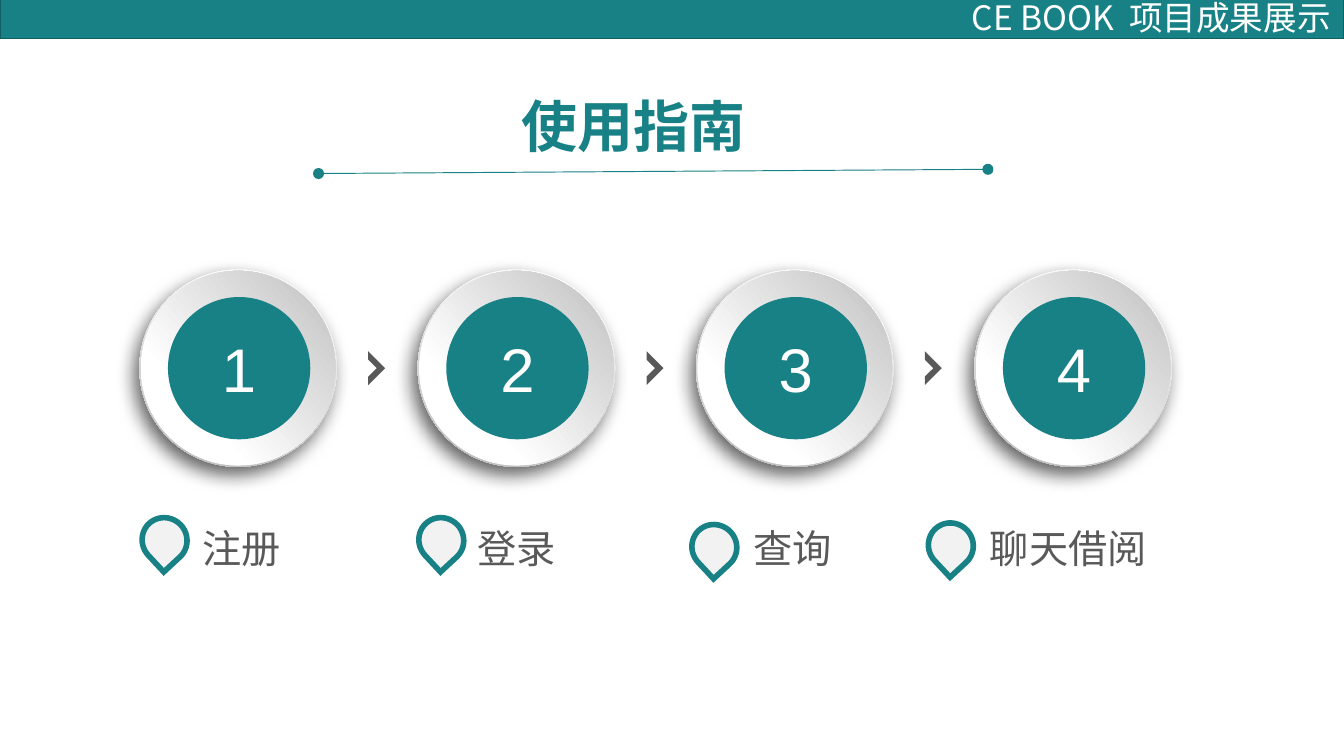
"""Build the four-step user guide slide."""
import lxml.etree
import pptx
import pptx.dml.color
import pptx.enum.shapes
import pptx.enum.text
import pptx.oxml.ns
import pptx.util

Cm = pptx.util.Cm
Pt = pptx.util.Pt
RGBColor = pptx.dml.color.RGBColor
Shapes = pptx.enum.shapes.MSO_SHAPE
Align = pptx.enum.text.PP_ALIGN
Anchor = pptx.enum.text.MSO_ANCHOR
AutoSize = pptx.enum.text.MSO_AUTO_SIZE
qn = pptx.oxml.ns.qn

TEAL = RGBColor(0x18, 0x81, 0x86)
DARK_TEAL = RGBColor(0x12, 0x5F, 0x63)
WHITE = RGBColor(0xFF, 0xFF, 0xFF)
PALE_GRAY = RGBColor(0xF2, 0xF2, 0xF2)
SILVER = RGBColor(0xBF, 0xBF, 0xBF)
DARK_SILVER = RGBColor(0xB8, 0xB8, 0xB8)
GRAY = RGBColor(0x59, 0x59, 0x59)

CJK_FONT = "Noto Sans CJK SC"
NUMBER_FONT = "Arial"
STEPS = ("注册", "登录", "查询", "聊天借阅")
PIN_POSITIONS = ((2.69, 9.78), (7.92, 9.78), (13.08, 9.91), (17.55, 9.88))
STEP_PITCH = 5.26
LABEL_PITCH = 5.21
FIRST_CENTER = 4.5
CENTER_Y = 6.96


def add_element(parent, tag, **attributes):
    element = lxml.etree.SubElement(parent, qn(tag))
    for name, value in attributes.items():
        element.set(name, str(value))
    return element


def write_text(shape, text, size, color, font=CJK_FONT, bold=False, align=Align.LEFT,
               anchor=Anchor.TOP, wrap=True, grow=False, margins=(0.25, 0.13)):
    frame = shape.text_frame
    frame.word_wrap = wrap
    frame.auto_size = AutoSize.SHAPE_TO_FIT_TEXT if grow else AutoSize.NONE
    frame.vertical_anchor = anchor
    frame.margin_left = frame.margin_right = Cm(margins[0])
    frame.margin_top = frame.margin_bottom = Cm(margins[1])
    paragraph = frame.paragraphs[0]
    paragraph.alignment = align
    run = paragraph.add_run()
    run.text = text
    run.font.size = Pt(size)
    run.font.bold = bold
    run.font.name = font
    run.font.color.rgb = color
    add_element(run.font._element, "a:ea", typeface=font)


class GuideSlide:
    def __init__(self, presentation):
        self.slide = presentation.slides.add_slide(presentation.slide_layouts[6])
        self.shapes = self.slide.shapes

    def paint(self, shape, fill=None, line=None, line_width=1):
        shape.shadow.inherit = False
        if fill is not None:
            shape.fill.solid()
            shape.fill.fore_color.rgb = fill
        if line is None:
            shape.line.fill.background()
        else:
            shape.line.color.rgb = line
            shape.line.width = Pt(line_width)
            add_element(shape.line._get_or_add_ln(), "a:miter", lim=800000)

    def shape(self, kind, left, top, width, height, rotation=0, shapes=None, **style):
        shapes = self.shapes if shapes is None else shapes
        shape = shapes.add_shape(kind, Cm(left), Cm(top), Cm(width), Cm(height))
        shape.rotation = rotation
        self.paint(shape, **style)
        return shape

    def disc(self, shapes, center, diameter, **style):
        return self.shape(Shapes.OVAL, center - diameter / 2, CENTER_Y - diameter / 2,
                          diameter, diameter, shapes=shapes, **style)

    def gradient_disc(self, shapes, center, diameter, rotation, *stops):
        disc = self.disc(shapes, center, diameter, rotation=rotation)
        disc.fill.gradient()
        disc.fill.gradient_angle = 315
        for stop, (position, color) in zip(disc.fill.gradient_stops, stops):
            stop.position = position
            stop.color.rgb = color
        return disc

    def soft_shadow(self, shape):
        effects = shape._element.spPr.find(qn("a:effectLst"))
        shadow = add_element(effects, "a:outerShdw", blurRad=Pt(10), dist=Pt(5),
                             dir=123 * 60000, algn="ctr", rotWithShape=0)
        color = add_element(shadow, "a:srgbClr", val="000000")
        add_element(color, "a:alpha", val=61000)

    def step_button(self, number, center):
        shapes = self.shapes.add_group_shape().shapes
        rim = self.gradient_disc(shapes, center, 3.73, 62.3,
                                 (0.17, WHITE), (0.88, DARK_SILVER))
        self.soft_shadow(rim)
        self.gradient_disc(shapes, center, 3.68, 273, (0.29, WHITE), (0.98, SILVER))
        core = self.disc(shapes, center + 0.02, 2.69, fill=TEAL)
        write_text(core, str(number), size=33, color=WHITE, font=NUMBER_FONT,
                   align=Align.CENTER, anchor=Anchor.MIDDLE)

    def chevron(self, left):
        outline = ((0.32, 0), (0, 0.32), (0, 0.16), (0.16, 0), (0, -0.16))
        builder = self.shapes.build_freeform(Cm(left), Cm(CENTER_Y - 0.32))
        builder.add_line_segments(
            [(Cm(left + x), Cm(CENTER_Y + y)) for x, y in outline], close=True)
        self.paint(builder.convert_to_shape(), fill=GRAY)

    def text(self, text, left, top, width, height, **style):
        box = self.shapes.add_textbox(Cm(left), Cm(top), Cm(width), Cm(height))
        write_text(box, text, grow=True, **style)
        return box

    def dotted_end_line(self, start_x, start_y, end_x, end_y):
        connector = self.shapes.add_connector(
            pptx.enum.shapes.MSO_CONNECTOR.STRAIGHT,
            Cm(start_x), Cm(start_y), Cm(end_x), Cm(end_y))
        connector.line.color.rgb = TEAL
        connector.line.width = Pt(0.5)
        line = connector.line._get_or_add_ln()
        add_element(line, "a:headEnd", type="oval")
        add_element(line, "a:tailEnd", type="oval")
        add_element(connector._element.spPr, "a:effectLst")


def main():
    presentation = pptx.Presentation()
    presentation.slide_width = Cm(25.4)
    presentation.slide_height = Cm(14.29)
    guide = GuideSlide(presentation)

    guide.dotted_end_line(6.02, 3.28, 18.67, 3.2)
    guide.text("使用指南", 9.68, 1.63, 4.65, 1.47, size=30, color=TEAL,
               bold=True, wrap=False, margins=(0.18, 0.1))
    centers = [FIRST_CENTER + STEP_PITCH * index for index in range(len(STEPS))]
    for number, center in enumerate(centers, 1):
        guide.step_button(number, center)
    for center in centers[:-1]:
        guide.chevron(center + 2.46)
    for index, step in enumerate(STEPS):
        guide.text(step, 1.65 + LABEL_PITCH * index, 9.78, 5.82, 1.14, size=21,
                   color=GRAY, align=Align.CENTER, anchor=Anchor.MIDDLE)
    for left, top in PIN_POSITIONS:
        guide.shape(Shapes.TEAR, left, top, 0.84, 0.86, rotation=137.1,
                    fill=PALE_GRAY, line=TEAL, line_width=3)
    header = guide.shape(Shapes.RECTANGLE, 0, -0.08, 25.4, 0.81,
                         fill=TEAL, line=DARK_TEAL)
    write_text(header, "CE BOOK  项目成果展示", size=18, color=WHITE,
               align=Align.RIGHT, anchor=Anchor.MIDDLE)
    presentation.save("out.pptx")


if __name__ == "__main__":
    main()
